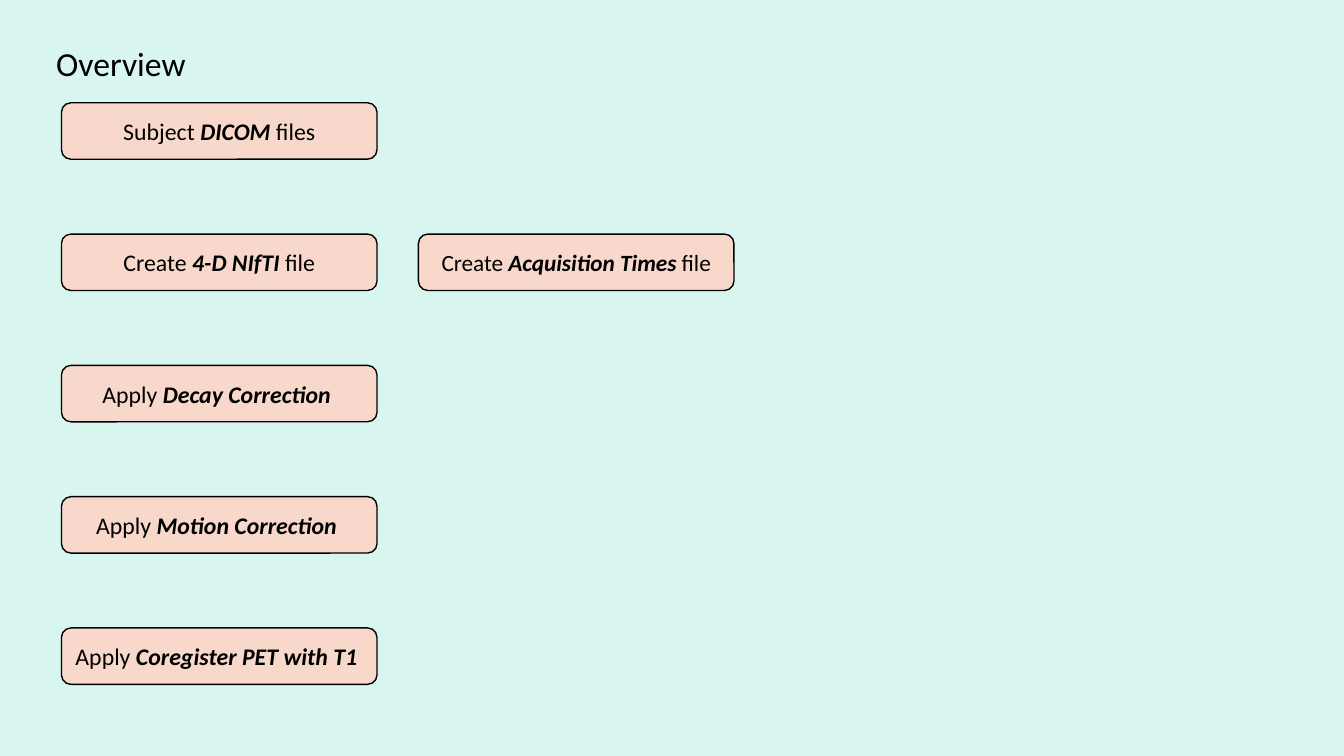
from dataclasses import dataclass

from pptx import Presentation
from pptx import util as u
from pptx.dml.color import RGBColor
from pptx.enum import shapes, text

FONT = "Calibri"
BLACK, MINT, PEACH = "000000", "D8F5F0", "F8D8CA"
LEFT, TOP = 0.61, 1.02
WIDTH, HEIGHT = 3.13, 0.56
COLUMN_STEP = 3.54
ROW_STEP = (6.23 - TOP) / 4


@dataclass
class Step:
    row: int
    column: int
    lead: str
    emphasis: str
    tail: str = ""
    size: float = 17


STEPS = [
    Step(0, 0, "Subject ", "DICOM", " files"),
    Step(1, 0, "Create ", "4-D NIfTI", " file"),
    Step(1, 1, "Create ", "Acquisition Times", " file", 16.6),
    Step(2, 0, "Apply ", "Decay Correction "),
    Step(3, 0, "Apply ", "Motion Correction "),
    Step(4, 0, "Apply ", "Coregister PET with T1 "),
]


def color(value: str) -> RGBColor:
    return RGBColor.from_string(value)


def add_span(para, words: str, size: float, strong: bool = False) -> None:
    span = para.add_run()
    span.text = words
    span.font.name = FONT
    span.font.size = u.Pt(size)
    span.font.bold = span.font.italic = strong
    span.font.color.rgb = color(BLACK)


def add_step(page, step: Step) -> None:
    box = page.shapes.add_shape(
        shapes.MSO_SHAPE.ROUNDED_RECTANGLE,
        u.Inches(LEFT + step.column * COLUMN_STEP),
        u.Inches(TOP + step.row * ROW_STEP),
        u.Inches(WIDTH), u.Inches(HEIGHT))
    box.shadow.inherit = False
    box.fill.solid()
    box.fill.fore_color.rgb = color(PEACH)
    box.line.color.rgb = color(BLACK)
    box.line.width = u.Pt(1)
    box.text_frame.word_wrap = True
    box.text_frame.vertical_anchor = text.MSO_ANCHOR.MIDDLE
    para = box.text_frame.paragraphs[0]
    para.alignment = text.PP_ALIGN.CENTER
    add_span(para, step.lead, step.size)
    add_span(para, step.emphasis, step.size, strong=True)
    if step.tail:
        add_span(para, step.tail, step.size)


# Page
deck = Presentation()
deck.slide_width, deck.slide_height = u.Inches(13.33), u.Inches(7.5)
page = deck.slides.add_slide(deck.slide_layouts[6])
page.background.fill.solid()
page.background.fill.fore_color.rgb = color(MINT)

# Heading
heading = page.shapes.add_textbox(
    u.Inches(0.46), u.Inches(0.38), u.Inches(1.5), u.Inches(0.5))
heading.text_frame.word_wrap = False
heading.text_frame.auto_size = text.MSO_AUTO_SIZE.SHAPE_TO_FIT_TEXT
add_span(heading.text_frame.paragraphs[0], "Overview", 24)

# Processing steps
for step in STEPS:
    add_step(page, step)

deck.save("out.pptx")
